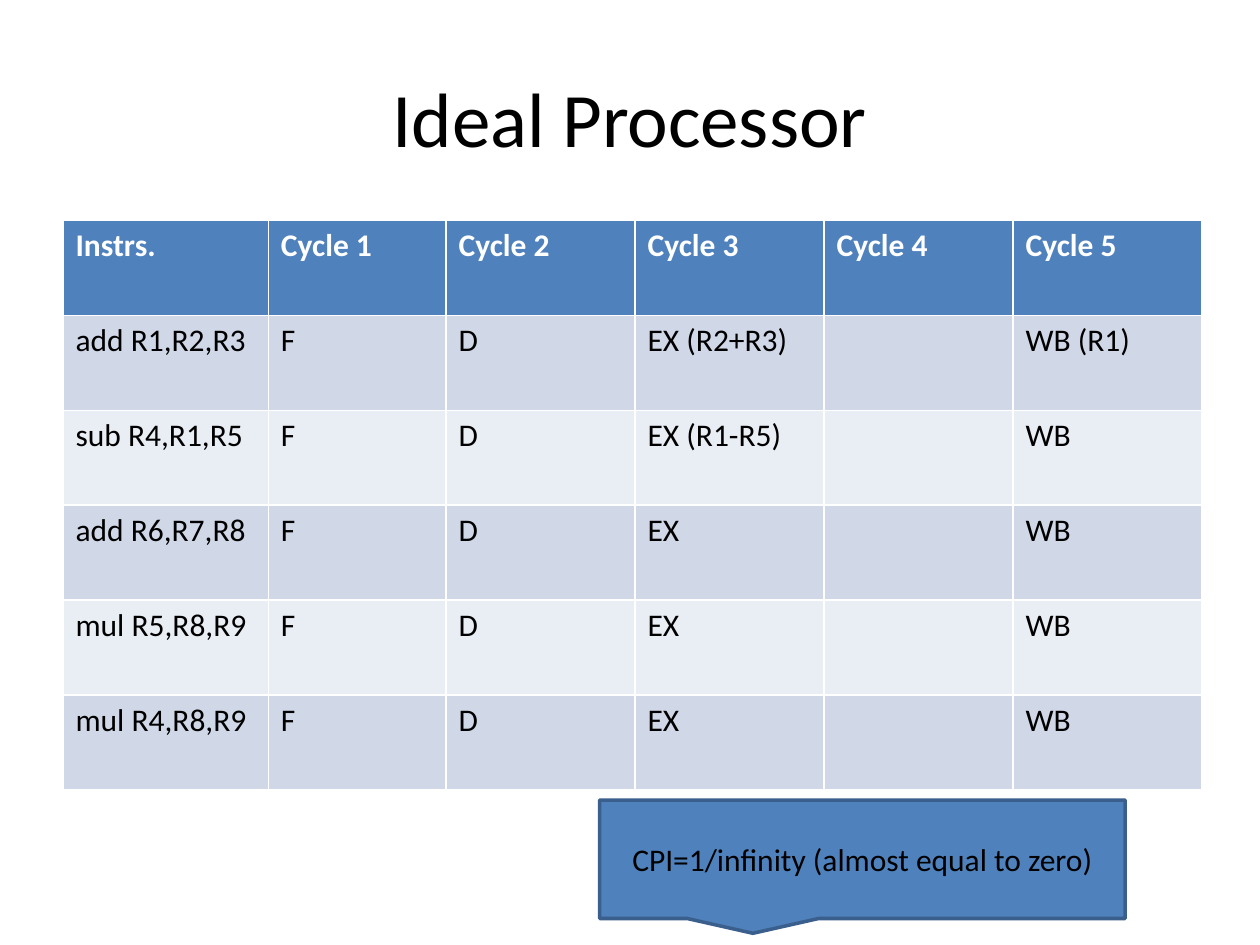
from pptx import Presentation
from pptx.dml.color import RGBColor
from pptx.enum.shapes import MSO_SHAPE
from pptx.enum.text import MSO_ANCHOR, PP_ALIGN
from pptx.util import Inches, Pt

CALLOUT = MSO_SHAPE.RECTANGULAR_CALLOUT
MIDDLE = MSO_ANCHOR.MIDDLE
CENTER = PP_ALIGN.CENTER

BLACK = RGBColor(0x00, 0x00, 0x00)
WHITE = RGBColor(0xFF, 0xFF, 0xFF)
BLUE = RGBColor(0x4F, 0x81, 0xBD)
NAVY = RGBColor(0x3A, 0x5F, 0x8C)
BANDS = [RGBColor(0xE9, 0xED, 0xF4), RGBColor(0xD0, 0xD8, 0xE8)]

HEAD = ["Instrs."] + [f"Cycle {n}" for n in range(1, 6)]
# Instruction, execute stage, write-back stage
STEPS = [
    ("add R1,R2,R3", "EX (R2+R3)", "WB (R1)"),
    ("sub R4,R1,R5", "EX (R1-R5)", "WB"),
    ("add R6,R7,R8", "EX", "WB"),
    ("mul R5,R8,R9", "EX", "WB"),
    ("mul R4,R8,R9", "EX", "WB"),
]
WIDTHS = [1.63, 1.41] + [1.5] * 4

TITLE = {"size": Pt(44), "name": "Calibri"}
BODY = {"size": Pt(18), "name": "Calibri", "bold": False}
BOLD = {**BODY, "bold": True}


def write(frame, text, style, color, align=None):
    frame.text = text
    para = frame.paragraphs[0]
    para.alignment = align
    for key, value in style.items():
        setattr(para.font, key, value)
    para.font.color.rgb = color


def place(shape, box):
    for key, value in zip(("left", "top", "width", "height"), box):
        setattr(shape, key, Inches(value))


def add_title(slide, box):
    title = slide.shapes.title
    place(title, box)
    title.text_frame.vertical_anchor = MIDDLE
    write(title.text_frame, "Ideal Processor", TITLE, BLACK, CENTER)


def add_grid(slide, box):
    rows = [HEAD] + [[op, "F", "D", run, "", back] for op, run, back in STEPS]
    table = slide.shapes.add_table(
        len(rows), len(HEAD), *map(Inches, box)).table
    for col, width in zip(table.columns, WIDTHS):
        col.width = Inches(width)
    # The default table style supplies the white rules
    for r, row in enumerate(rows):
        for c, text in enumerate(row):
            cell = table.cell(r, c)
            cell.fill.solid()
            cell.fill.fore_color.rgb = BANDS[r % 2] if r else BLUE
            style, color = (BODY, BLACK) if r else (BOLD, WHITE)
            write(cell.text_frame, text, style, color)


def add_note(slide, box):
    note = slide.shapes.add_shape(CALLOUT, *map(Inches, box))
    note.shadow.inherit = False
    note.fill.solid()
    note.fill.fore_color.rgb = BLUE
    note.line.color.rgb = NAVY
    note.line.width = Pt(2)
    note.text_frame.word_wrap = True
    note.text_frame.vertical_anchor = MIDDLE
    write(note.text_frame, "CPI=1/infinity (almost equal to zero)",
          BODY, BLACK, CENTER)


def main():
    deck = Presentation()
    deck.slide_width, deck.slide_height = Inches(10), Inches(7.5)
    slide = deck.slides.add_slide(deck.slide_layouts[5])
    add_title(slide, (0.5, 0.3, 9, 1.25))
    add_grid(slide, (0.5, 1.75, 9.04, 4.52))
    add_note(slide, (4.76, 6.35, 4.17, 0.94))
    deck.save("out.pptx")


if __name__ == "__main__":
    main()
